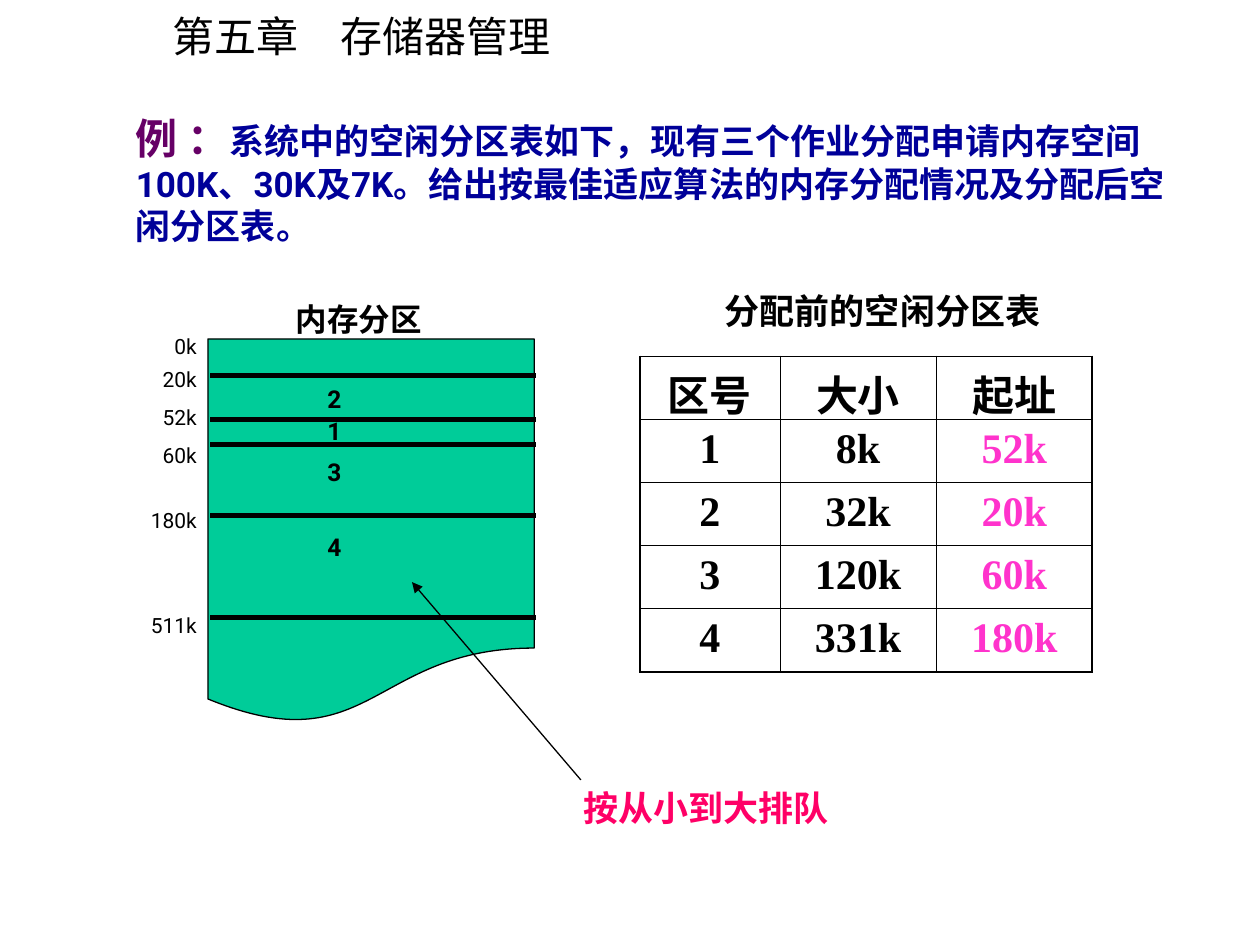
from lxml import etree
from pptx import Presentation
from pptx.dml.color import RGBColor
from pptx.enum.shapes import MSO_CONNECTOR, MSO_SHAPE
from pptx.enum.text import MSO_ANCHOR, MSO_AUTO_SIZE, PP_ALIGN
from pptx.oxml.ns import qn
from pptx.util import Inches, Pt

STRAIGHT = MSO_CONNECTOR.STRAIGHT
DOCUMENT = MSO_SHAPE.FLOWCHART_DOCUMENT
TOP = MSO_ANCHOR.TOP
NO_AUTOFIT = MSO_AUTO_SIZE.NONE
LEFT, CENTER, RIGHT = PP_ALIGN.LEFT, PP_ALIGN.CENTER, PP_ALIGN.RIGHT

BLACK = RGBColor(0x00, 0x00, 0x00)
GREEN = RGBColor(0x00, 0xCC, 0x99)
PURPLE = RGBColor(0x66, 0x00, 0x66)
NAVY = RGBColor(0x00, 0x00, 0x99)
MAGENTA = RGBColor(0xFF, 0x33, 0xCC)
PINK = RGBColor(0xFF, 0x00, 0x66)

CJK, SANS, SERIF = "Noto Sans CJK SC", "Roboto", "Times New Roman"


def write(frame, lines, size, font, color=BLACK, bold=True, align=LEFT):
    """Fill a frame with paragraphs; a line is a text or a list of (text, size, font, color)."""
    frame.word_wrap = True
    for index, line in enumerate(lines):
        paragraph = frame.paragraphs[0] if index == 0 else frame.add_paragraph()
        paragraph.alignment = align
        pieces = [(line, size, font, color)] if isinstance(line, str) else line
        for text, run_size, run_font, run_color in pieces:
            run = paragraph.add_run()
            run.text = text
            run.font.size = Pt(run_size)
            run.font.bold = bold
            run.font.color.rgb = run_color
            run.font.name = run_font
            etree.SubElement(run.font._element, qn("a:ea"), typeface=CJK)


def add_line(x1, y1, x2, y2, width):
    line = slide.shapes.add_connector(
        STRAIGHT, Inches(x1), Inches(y1), Inches(x2), Inches(y2))
    line.line.color.rgb = BLACK
    line.line.width = Pt(width)
    etree.SubElement(line._element.spPr, qn("a:effectLst"))
    return line


prs = Presentation()
prs.slide_width, prs.slide_height = Inches(10), Inches(7.5)
slide = prs.slides.add_slide(prs.slide_layouts[5])

# Chapter title
title = slide.shapes.title
title.left, title.top = Inches(1.27), Inches(0.03)
title.width, title.height = Inches(3.4), Inches(0.5)
write(title.text_frame, ["第五章　存储器管理"], 24, CJK, bold=False)
title.text_frame.vertical_anchor = TOP
title.text_frame.auto_size = NO_AUTOFIT
title.text_frame.word_wrap = False

# Memory map
memory = slide.shapes.add_shape(
    DOCUMENT, Inches(1.65), Inches(2.69), Inches(2.59), Inches(3.06))
memory.shadow.inherit = False
memory.fill.solid()
memory.fill.fore_color.rgb = GREEN
memory.line.color.rgb = BLACK
memory.line.width = Pt(0.75)

for boundary in (2.98, 3.33, 3.53, 4.09, 4.9):
    add_line(1.67, boundary, 4.25, boundary, 3)

# Addresses: text, line spacing, space before in points
addresses = [("0k", 1.1, 0), ("20k", 1.3, 0), ("52k", 1.5, 0),
             ("60k", 1.5, 0), ("180k", 1.5, 16), ("511k", 1.1, 44)]
address_box = slide.shapes.add_textbox(
    Inches(1.08), Inches(2.58), Inches(0.58), Inches(2.54))
write(address_box.text_frame, [address for address, _, _ in addresses],
      12, SANS, bold=False, align=RIGHT)
for paragraph, (_, spacing, before) in zip(address_box.text_frame.paragraphs, addresses):
    paragraph.line_spacing = spacing
    if before:
        paragraph.space_before = Pt(before)

# Text boxes: left, top, width, height, line, size, font, colour, alignment
question = [
    ("例 ：", 24, CJK, PURPLE),
    ("系统中的空闲分区表如下，现有三个作业分配申请内存空间100K、30K及7K。"
     "给出按最佳适应算法的内存分配情况及分配后空闲分区表。", 20, SANS, NAVY),
]
captions = [
    (0.98, 0.84, 8.5, 1.17, question, 20, SANS, NAVY, LEFT),
    (5.17, 2.25, 3.67, 0.44, "分配前的空闲分区表", 20, SANS, BLACK, CENTER),
    (2.25, 2.33, 1.83, 0.4, "内存分区", 18, SERIF, BLACK, LEFT),
    (4.53, 6.19, 3.46, 0.44, "按从小到大排队", 20, SERIF, PINK, LEFT),
]
for number, top in (("2", 3), ("1", 3.25), ("3", 3.58), ("4", 4.17)):
    captions.append((2.5, top, 0.42, 0.34, number, 14, SANS, BLACK, LEFT))
for left, top, width, height, line, size, font, color, align in captions:
    box = slide.shapes.add_textbox(
        Inches(left), Inches(top), Inches(width), Inches(height))
    write(box.text_frame, [line], size, font, color, align=align)

# Free partition table
partitions = [
    ("区号", "大小", "起址"),
    ("1", "8k", "52k"),
    ("2", "32k", "20k"),
    ("3", "120k", "60k"),
    ("4", "331k", "180k"),
]
last_row, last_col = len(partitions) - 1, len(partitions[0]) - 1
table = slide.shapes.add_table(
    last_row + 1, last_col + 1,
    Inches(5.08), Inches(2.83), Inches(3.59), Inches(2.5)).table
for column, width in zip(table.columns, (1.11, 1.24, 1.24)):
    column.width = Inches(width)

for r, row in enumerate(partitions):
    for c, value in enumerate(row):
        cell = table.cell(r, c)
        color = MAGENTA if r > 0 and c == last_col else BLACK
        write(cell.text_frame, [value], 24, SERIF, color, align=CENTER)
        outer_edges = {"a:lnL": c == 0, "a:lnR": c == last_col,
                       "a:lnT": r == 0, "a:lnB": r == last_row}
        for edge, outer in outer_edges.items():
            border = etree.SubElement(cell._tc.get_or_add_tcPr(), qn(edge),
                                      w=str(Pt(1.08 if outer else 0.45)))
            fill = etree.SubElement(border, qn("a:solidFill"))
            etree.SubElement(fill, qn("a:srgbClr"), val=str(BLACK))
        cell.fill.background()

# Pointer from the queueing remark to the free partitions
pointer = add_line(4.61, 6.19, 3.27, 4.62, 0.75)
etree.SubElement(pointer.line._get_or_add_ln(), qn("a:tailEnd"), type="triangle")

prs.save("out.pptx")
